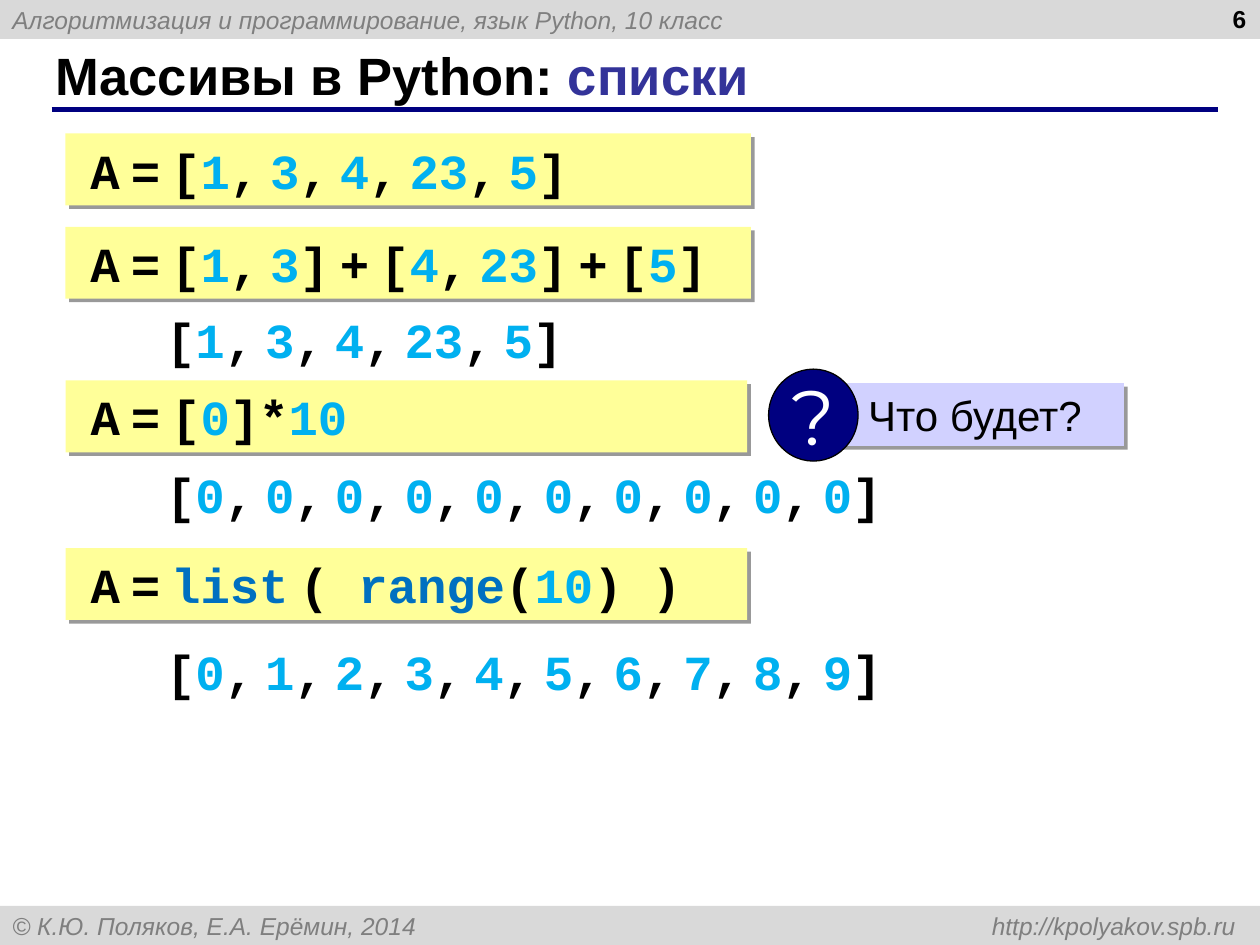
from itertools import groupby

from lxml import etree
from pptx import Presentation
from pptx.dml.color import RGBColor
from pptx.enum.shapes import MSO_CONNECTOR, MSO_SHAPE
from pptx.enum.text import MSO_ANCHOR, MSO_AUTO_SIZE, PP_ALIGN
from pptx.oxml.ns import qn
from pptx.util import Inches, Pt

RECTANGLE = MSO_SHAPE.RECTANGLE
OVAL = MSO_SHAPE.OVAL
STRAIGHT = MSO_CONNECTOR.STRAIGHT
TOP = MSO_ANCHOR.TOP
MIDDLE = MSO_ANCHOR.MIDDLE
GROW = MSO_AUTO_SIZE.SHAPE_TO_FIT_TEXT
FIXED = MSO_AUTO_SIZE.NONE
LEFT, CENTER, RIGHT, JUSTIFY = PP_ALIGN.LEFT, PP_ALIGN.CENTER, PP_ALIGN.RIGHT, PP_ALIGN.JUSTIFY

COLUMNS, ROWS = 100, 75
BLACK, NAVY, GRAY = "000000", "000080", "7F7F7F"
NUMBER_COLOR, WORD_COLOR = "00B0F0", "0070C0"
BAR_FORMAT = {"size": Pt(14), "name": "Arial", "italic": True}
NUMBER_FORMAT = {"size": Pt(14), "name": "Arial", "bold": True}
TITLE_FORMAT = {"size": Pt(30), "name": "Arial", "bold": True}
QUESTION_FORMAT = {"size": Pt(24), "name": "Arial"}
MARK_FORMAT = {"size": Pt(44), "name": "Montserrat"}
CODE_FORMAT = {"size": Pt(28), "name": "Courier New", "bold": True}
NARROW_FORMAT = {**CODE_FORMAT, "size": Pt(10.5)}


def color(value):
    return RGBColor.from_string(value)


def code_runs(code):
    styled = []
    for index, character in enumerate(code):
        tint, style = BLACK, CODE_FORMAT
        if character.isdigit():
            tint = NUMBER_COLOR
        elif character.islower():
            tint = WORD_COLOR
        elif character == " " and code[index - 1] not in "()":
            style = NARROW_FORMAT
        styled.append((character, tint, style))
    for (tint, size), group in groupby(styled, key=lambda item: (item[1], item[2]["size"])):
        items = list(group)
        yield "".join(item[0] for item in items), tint, items[0][2]


class SlideBuilder:
    def __init__(self, presentation):
        self.column = presentation.slide_width / COLUMNS
        self.row = presentation.slide_height / ROWS
        self.slide = presentation.slides.add_slide(presentation.slide_layouts[6])
        self.shapes = self.slide.shapes

    def place(self, left, top, width, height):
        return [round(length * unit) for length, unit in
                zip((left, top, width, height), (self.column, self.row) * 2)]

    def fill_text(self, shape, runs, alignment=LEFT, anchor=TOP, wrap=True, fit=FIXED, margins=None):
        frame = shape.text_frame
        frame.word_wrap = wrap
        frame.auto_size = fit
        frame.vertical_anchor = anchor
        for name, value in (margins or {}).items():
            setattr(frame, name, value)
        paragraph = frame.paragraphs[0]
        paragraph.alignment = alignment
        for text, tint, style in runs:
            run = paragraph.add_run()
            run.text = text
            for name, value in style.items():
                setattr(run.font, name, value)
            run.font.color.rgb = color(tint)
        return paragraph

    def shape(self, kind, area, fill, line=None, shadow=False):
        shape = self.shapes.add_shape(kind, *self.place(*area))
        shape.shadow.inherit = False
        shape.fill.solid()
        shape.fill.fore_color.rgb = color(fill)
        if line:
            shape.line.color.rgb = color(line)
            shape.line.width = Pt(0.75)
        else:
            shape.line.fill.background()
        if shadow:
            self.drop_shadow(shape)
        return shape

    def drop_shadow(self, shape):
        effects = shape._element.spPr.find(qn("a:effectLst"))
        outer = etree.SubElement(effects, qn("a:outerShdw"), dist=str(Pt(3)),
                                 dir="2700000", algn="ctr", rotWithShape="0")
        tint = etree.SubElement(outer, qn("a:srgbClr"), val=BLACK)
        etree.SubElement(tint, qn("a:alpha"), val="40000")

    def text(self, area, runs, **options):
        box = self.shapes.add_textbox(*self.place(*area))
        return self.fill_text(box, runs, **options)

    def bar(self, top, text, right_tab=None):
        shape = self.shape(RECTANGLE, (0, top, COLUMNS, 3.1), "D9D9D9")
        paragraph = self.fill_text(shape, [(text, GRAY, BAR_FORMAT)], anchor=MIDDLE)
        if right_tab:
            tabs = etree.SubElement(paragraph._p.get_or_add_pPr(), qn("a:tabLst"))
            etree.SubElement(tabs, qn("a:tab"), pos=str(round(right_tab * self.column)), algn="r")

    def rule(self, left, right, top):
        start_x, start_y, end_x, end_y = self.place(left, top, right, top)
        connector = self.shapes.add_connector(STRAIGHT, start_x, start_y, end_x, end_y)
        connector.line.color.rgb = color(NAVY)
        connector.line.width = Pt(3)
        etree.SubElement(connector._element.spPr, qn("a:effectLst"))

    def code(self, top, width, code):
        shape = self.shape(RECTANGLE, (5.2, top, width, 5.7), "FFFF99", shadow=True)
        paragraph = self.fill_text(shape, code_runs(code), alignment=JUSTIFY, anchor=MIDDLE, fit=GROW)
        properties = paragraph._p.get_or_add_pPr()
        properties.set("marL", str(Inches(0.2)))
        properties.set("indent", str(Inches(-0.1)))

    def result(self, top, width, values):
        listing = "[" + ", ".join(str(value) for value in values) + "]"
        self.text((12.2, top, width, 5.7), code_runs(listing), fit=GROW)

    def question(self, text):
        slide_shapes = self.shapes
        self.shapes = slide_shapes.add_group_shape().shapes
        label = self.shape(RECTANGLE, (66.1, 30.4, 23.1, 5), "D1D1FF", shadow=True)
        self.fill_text(label, [(text, BLACK, QUESTION_FORMAT)], fit=GROW,
                       margins={"margin_left": Inches(0.28)})
        circle = self.shape(OVAL, (61, 29.3, 7.1, 7.3), NAVY, line=BLACK)
        self.fill_text(circle, [("?", "FFFFFF", MARK_FORMAT)], alignment=CENTER,
                       anchor=MIDDLE, wrap=False)
        self.shapes = slide_shapes


def main():
    presentation = Presentation()
    presentation.slide_width = Inches(10)
    presentation.slide_height = Inches(7.5)
    builder = SlideBuilder(presentation)

    builder.bar(0, "Алгоритмизация и программирование, язык Python, 10 класс")
    builder.bar(71.9, "© К.Ю. Поляков, Е.А. Ерёмин, 2014 \thttp://kpolyakov.spb.ru", right_tab=97.1)
    builder.rule(4.1, 96.7, 8.7)
    builder.text((3.4, 3.3, 91.6, 5.2), [("Массивы в Python: ", BLACK, TITLE_FORMAT),
                                         ("списки", "333399", TITLE_FORMAT)], anchor=MIDDLE)
    builder.text((76.6, 0, 23.3, 5), [("6", BLACK, NUMBER_FORMAT)], alignment=RIGHT,
                 margins={"margin_top": Inches(0.03)})

    for top, width, code in (
        (10.6, 54.4, "A = [1, 3, 4, 23, 5]"),
        (18, 54.4, "A = [1, 3] + [4, 23] + [5]"),
        (30.2, 54.1, "A = [0]*10"),
        (43.5, 54.1, "A = list ( range(10) )"),
    ):
        builder.code(top, width, code)

    for top, width, values in (
        (24.1, 35.8, [1, 3, 4, 23, 5]),
        (36.4, 63.1, [0] * 10),
        (50.4, 63.1, range(10)),
    ):
        builder.result(top, width, values)

    builder.question("Что будет?")
    presentation.save("out.pptx")


if __name__ == "__main__":
    main()
